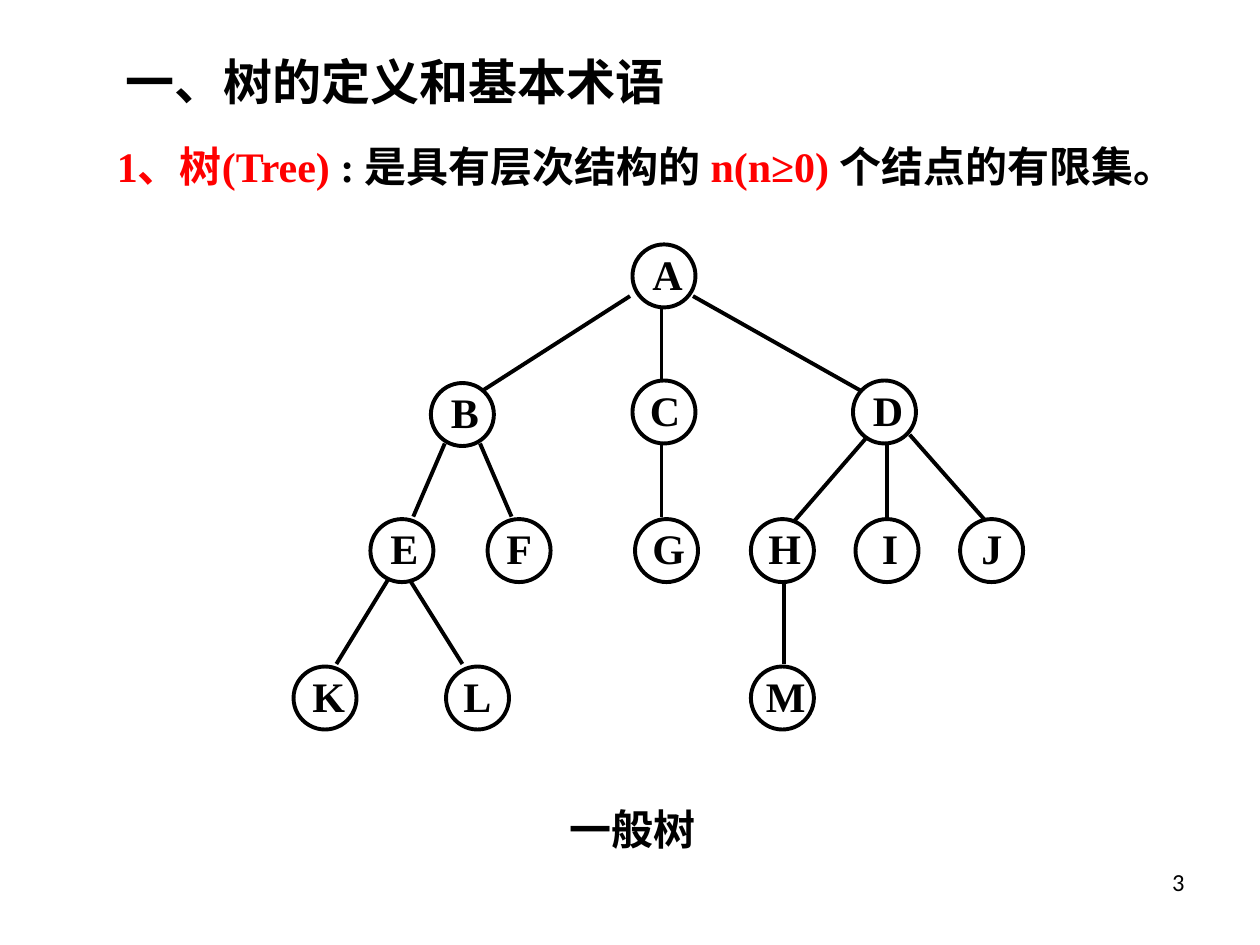
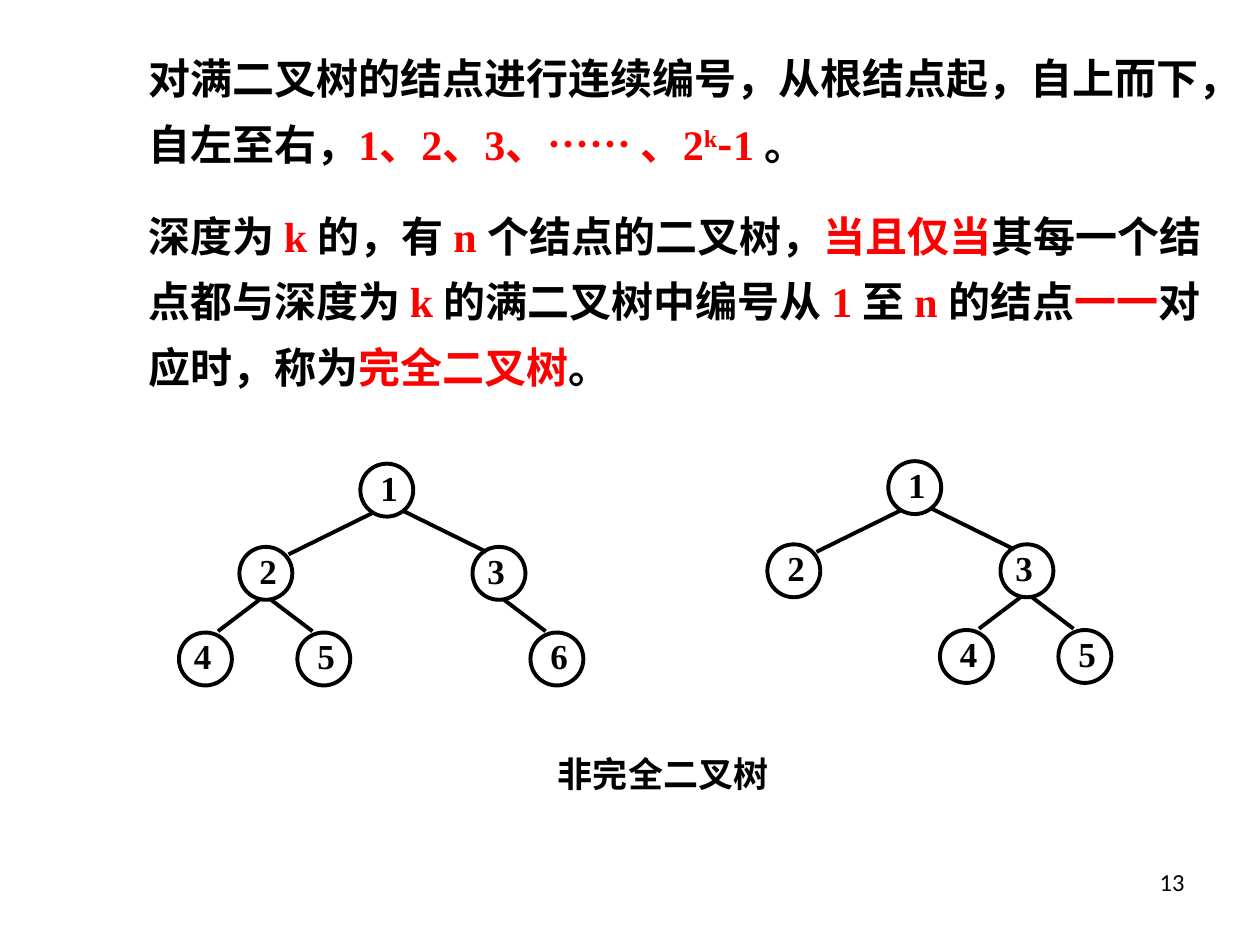
from lxml.etree import SubElement
from pptx import Presentation
from pptx.dml.color import RGBColor
from pptx.enum.shapes import MSO_CONNECTOR, MSO_SHAPE
from pptx.enum.text import PP_ALIGN
from pptx.oxml.ns import qn
from pptx.util import Inches, Pt

BLACK, RED = "000000", "FF0000"
TIMES, NOTO, PAGE = "Times New Roman", "Noto Sans CJK SC", "Calibri"

deck = Presentation()
deck.slide_width, deck.slide_height = Inches(10), Inches(7.5)
COL = deck.slide_width // 1000
ROW = deck.slide_height // 750


def write(shapes, spot, parts, size, bold=True, pace=None, align=PP_ALIGN.LEFT):
    left, top, width, height = spot
    box = shapes.add_textbox(left * COL, top * ROW, width * COL, height * ROW)
    box.text_frame.word_wrap = True
    para = box.text_frame.paragraphs[0]
    para.alignment = align
    if pace:
        para.line_spacing = pace
    for text, hue, face, *rise in parts:
        run = para.add_run()
        run.text = text
        run.font.size, run.font.bold, run.font.name = Pt(size), bold, face
        run.font.color.rgb = RGBColor.from_string(hue)
        props = run._r.get_or_add_rPr()
        SubElement(props, qn("a:ea")).set("typeface", NOTO)
        if rise:
            props.set("baseline", str(rise[0] * 1000))


def grow(shapes, nodes, links, disk, size, lift):
    for label, x, y, shift in nodes:
        ring = shapes.add_shape(MSO_SHAPE.OVAL, x * COL, y * ROW, disk * COL, disk * ROW)
        ring.shadow.inherit = False
        ring.fill.background()
        ring.line.color.rgb = RGBColor.from_string(BLACK)
        ring.line.width = Pt(2.25)
        write(shapes, (x + shift, y - lift, 58, 50), [(label, BLACK, TIMES)], size)
    for x1, y1, x2, y2 in links:
        link = shapes.add_connector(
            MSO_CONNECTOR.STRAIGHT, x1 * COL, y1 * ROW, x2 * COL, y2 * ROW)
        link.line.color.rgb = RGBColor.from_string(BLACK)
        link.line.width = Pt(2.25)
        SubElement(link._element.spPr, qn("a:effectLst"))


pages = []
for number in ("3", "13"):
    page = deck.slides.add_slide(deck.slide_layouts[6])
    write(page.shapes, (717, 683, 233, 52), [(number, BLACK, PAGE)], 14,
          bold=False, align=PP_ALIGN.RIGHT)
    pages.append(page.shapes)
terms, binary = pages

nodes = [
    ("A", 502, 194, 6),
    ("B", 342, 304, 6), ("C", 502, 302, 4), ("D", 677, 302, 6),
    ("E", 294, 412, 6), ("F", 387, 412, 5), ("G", 504, 412, 4),
    ("H", 596, 412, 4), ("I", 679, 412, 11), ("J", 762, 412, 7),
    ("K", 233, 529, 5), ("L", 354, 529, 4), ("M", 596, 529, 2),
]
links = [
    (525, 244, 525, 302), (500, 235, 383, 310), (550, 235, 683, 310),
    (381, 352, 406, 410), (353, 352, 328, 410), (525, 352, 525, 410),
    (704, 352, 704, 410), (722, 345, 781, 412), (688, 347, 630, 414),
    (308, 460, 267, 527), (325, 460, 367, 527), (622, 460, 622, 527),
]
group = terms.add_group_shape().shapes
grow(group, nodes, links, 50, 24, 2)
write(group, (442, 633, 242, 50), [("一般树", BLACK, TIMES)], 24)
write(terms, (90, 36, 625, 57), [("一、树的定义和基本术语", BLACK, TIMES)], 28)
write(terms, (83, 107, 858, 90), [
    ("1、树(Tree)", RED, TIMES),
    (" : 是具有层次结构的 ", BLACK, TIMES),
    ("n(n≥0) ", RED, TIMES),
    ("个结点的有限集。", BLACK, TIMES),
], 24)

write(binary, (108, 25, 858, 114), [
    ("对满二叉树的结点进行连续编号，从根结点起，自上而下，自左至右，", BLACK, TIMES),
    ("1、2、3、…… 、2", RED, TIMES),
    ("k", RED, TIMES, 30),
    ("-", RED, NOTO),
    ("1 ", RED, TIMES),
    ("。", BLACK, TIMES),
], 24, pace=1.3)
write(binary, (108, 150, 867, 166), [
    ("深度为 ", BLACK, NOTO),
    ("k ", RED, TIMES),
    ("的，有 ", BLACK, NOTO),
    ("n ", RED, TIMES),
    ("个结点的二叉树，", BLACK, NOTO),
    ("当且仅当", RED, NOTO),
    ("其每一个结点都与深度为 ", BLACK, NOTO),
    ("k ", RED, TIMES),
    ("的满二叉树中编号从 ", BLACK, NOTO),
    ("1 ", RED, TIMES),
    ("至 ", BLACK, NOTO),
    ("n ", RED, TIMES),
    ("的结点", BLACK, NOTO),
    ("一一", RED, NOTO),
    ("对应时，称为", BLACK, NOTO),
    ("完全二叉树", RED, NOTO),
    ("。", BLACK, NOTO),
], 24, pace=1.3)

STEPS = {
    "wide left": (-96, 66, 10, 39, -57, 72),
    "wide right": (89, 66, 33, 37, 100, 70),
    "left": (-48, 68, 16, 42, -17, 67),
    "right": (46, 68, 25, 42, 58, 67),
}
trees = [
    (286, 368, [("1", "2", "wide left", 6), ("1", "3", "wide right", 2),
                ("2", "4", "left", 2), ("2", "5", "right", 6),
                ("3", "6", "right", 6)]),
    (705, 366, [("1", "2", "wide left", 6), ("1", "3", "wide right", 2),
                ("3", "4", "left", 6), ("3", "5", "right", 6)]),
]
for left, top, limbs in trees:
    spots = {"1": (left, top)}
    nodes, links = [("1", left, top, 6)], []
    for stem, leaf, step, shift in limbs:
        x, y = spots[stem]
        dx, dy, x1, y1, x2, y2 = STEPS[step]
        spots[leaf] = (x + dx, y + dy)
        nodes.append((leaf, x + dx, y + dy, shift))
        links.append((x + x1, y + y1, x + x2, y + y2))
    grow(binary.add_group_shape().shapes, nodes, links, 42, 20, 3)
write(binary, (433, 592, 275, 44), [("非完全二叉树", BLACK, TIMES)], 20)

deck.save("out.pptx")
